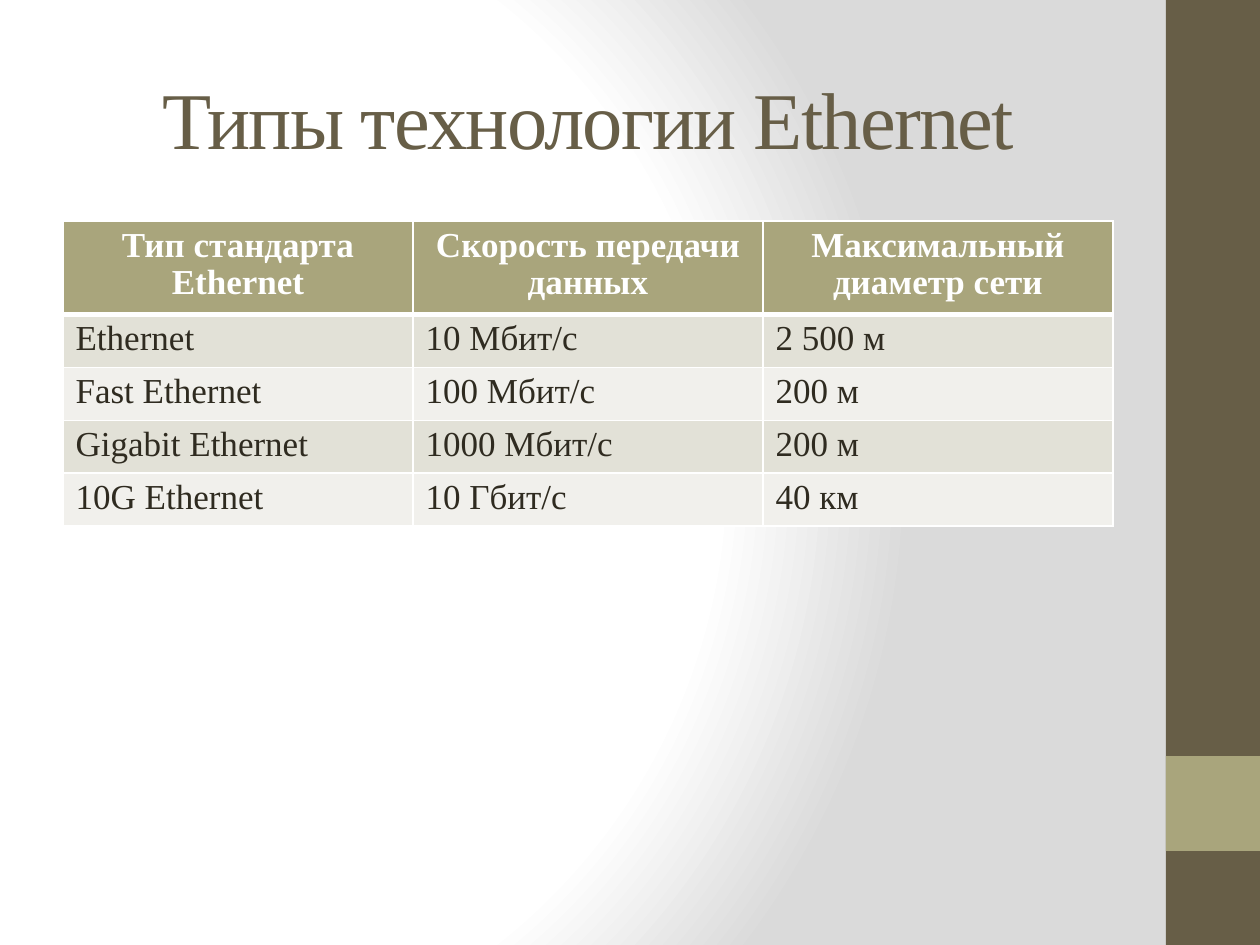
from pptx import Presentation
from pptx.dml.color import RGBColor
from pptx.enum.shapes import MSO_SHAPE as Shape
from pptx.enum.text import MSO_ANCHOR as Anchor, PP_ALIGN as Align
from pptx.oxml import parse_xml
from pptx.oxml.ns import nsdecls
from pptx.util import Pt

SCALE = 914400 / 126
BROWN, OLIVE, WHITE, INK = "675E47", "A9A57C", "FFFFFF", "2F2B20"
BANDS = ["E2E1D7", "F1F0EC"]


def px(*vals):
    return [round(v * SCALE) for v in vals]


def write(frame, text, size=20, color=INK, bold=False, align=Align.LEFT,
          gap=None, track=None):
    par = frame.paragraphs[0]
    par.alignment = align
    par.line_spacing = gap
    run = par.add_run()
    run.text = text
    font = run.font
    font.name, font.size, font.bold = "Times New Roman", Pt(size), bold
    font.color.rgb = RGBColor.from_string(color)
    if track:
        run._r.get_or_add_rPr().set("spc", str(track))


deck = Presentation()
deck.slide_width, deck.slide_height = px(1260, 945)
slide = deck.slides.add_slide(deck.slide_layouts[6])

# Radial background
stops = "".join(f'<a:gs pos="{pos}000"><a:srgbClr val="{tone}"/></a:gs>'
                for pos, tone in [(0, WHITE), (75, WHITE), (100, "DADADA")])
slide._element.cSld.insert(0, parse_xml(
    f'<p:bg {nsdecls("p", "a")}><p:bgPr><a:gradFill rotWithShape="1">'
    f'<a:gsLst>{stops}</a:gsLst><a:path path="circle">'
    '<a:fillToRect l="20000" t="50000" r="100000" b="50000"/></a:path>'
    '</a:gradFill><a:effectLst/></p:bgPr></p:bg>'))

# Side band and accent square
for top, height, color in [(0, 945, BROWN), (756, 95, OLIVE)]:
    bar = slide.shapes.add_shape(Shape.RECTANGLE, *px(1166, top, 94, height))
    bar.shadow.inherit = False
    bar.fill.solid()
    bar.fill.fore_color.rgb = RGBColor.from_string(color)
    bar.line.fill.background()

# Title
title = slide.shapes.add_textbox(*px(63, 38, 1050, 158)).text_frame
title.word_wrap = True
title.vertical_anchor = Anchor.MIDDLE
write(title, "Типы технологии Ethernet", size=46, color=BROWN,
      align=Align.CENTER, track=-100)

# Table of standards
rows = [
    ["Тип стандарта Ethernet", "Скорость передачи данных",
     "Максимальный диаметр сети"],
    ["Ethernet", "10 Мбит/с", "2 500 м"],
    ["Fast Ethernet", "100 Мбит/с", "200 м"],
    ["Gigabit Ethernet", "1000 Мбит/с", "200 м"],
    ["10G Ethernet", "10 Гбит/с", "40 км"],
]
table = slide.shapes.add_table(len(rows), 3, *px(63, 221, 1050, 294)).table
for col in table.columns:
    col.width = px(350)[0]
for r, row in enumerate(rows):
    head = r == 0
    table.rows[r].height = px(90 if head else 51)[0]
    for c, text in enumerate(row):
        cell = table.cell(r, c)
        if head:
            write(cell.text_frame, text, color=WHITE, bold=True,
                  align=Align.CENTER, gap=0.96)
        else:
            write(cell.text_frame, text, gap=0.96)
        # Borders come before the fill; the rule under the header is thick
        props = cell._tc.get_or_add_tcPr()
        for side in "LRTB":
            thick = (head and side == "B") or (r == 1 and side == "T")
            width = Pt(3 if thick else 1)
            props.append(parse_xml(
                f'<a:ln{side} {nsdecls("a")} w="{width}"><a:solidFill>'
                f'<a:srgbClr val="{WHITE}"/></a:solidFill></a:ln{side}>'))
        cell.fill.solid()
        fill = OLIVE if head else BANDS[(r - 1) % 2]
        cell.fill.fore_color.rgb = RGBColor.from_string(fill)

deck.save("out.pptx")
